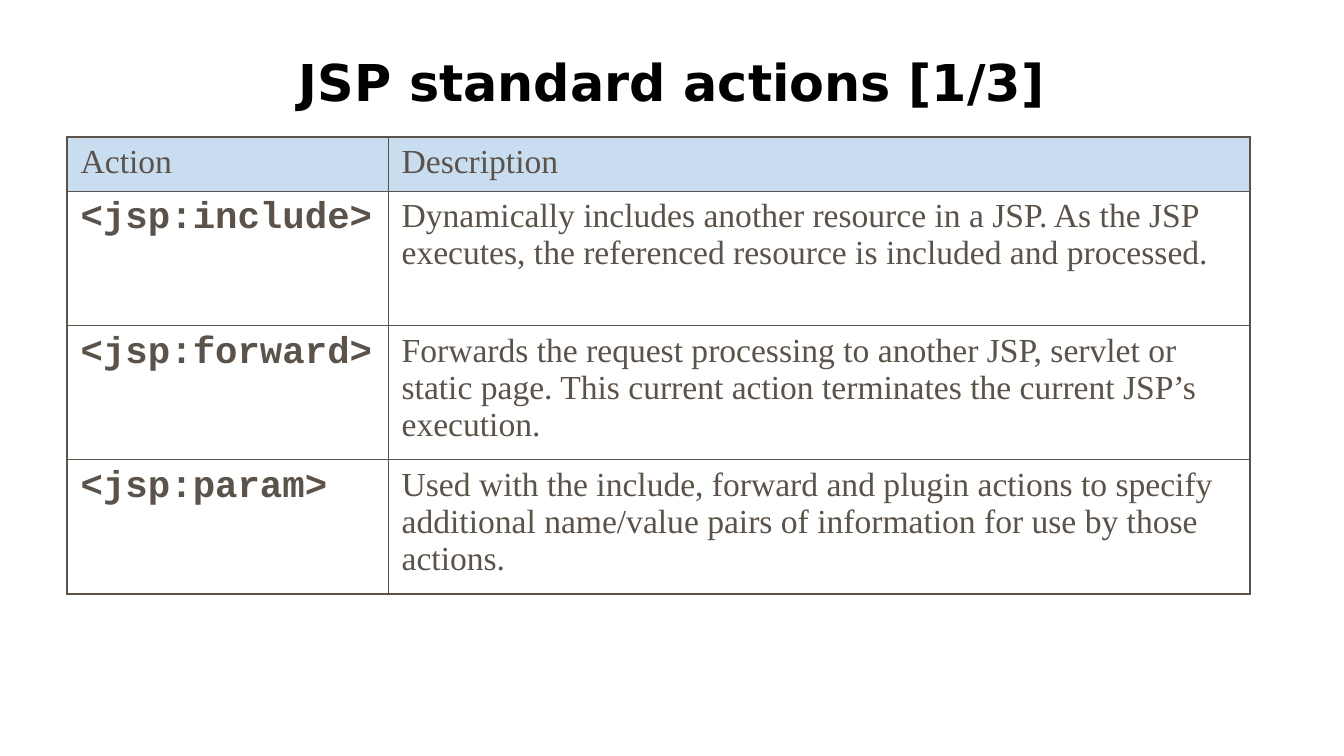
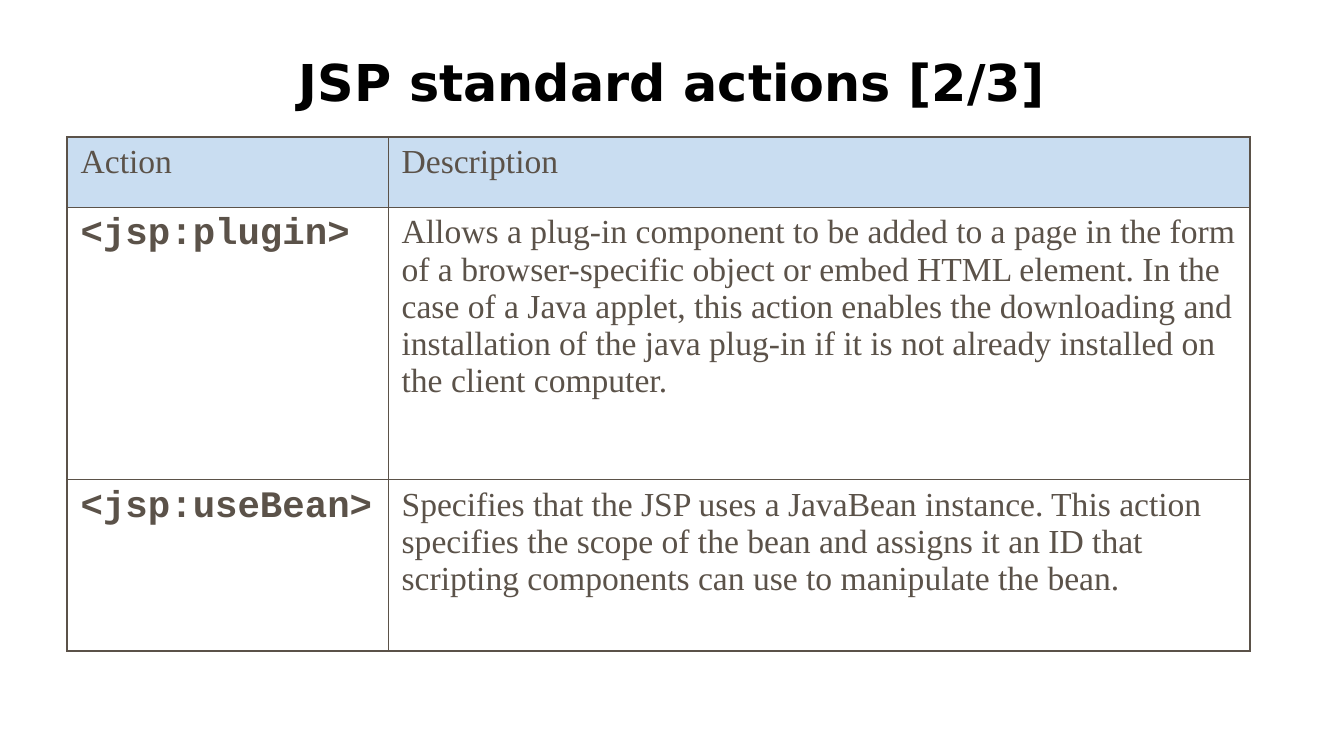
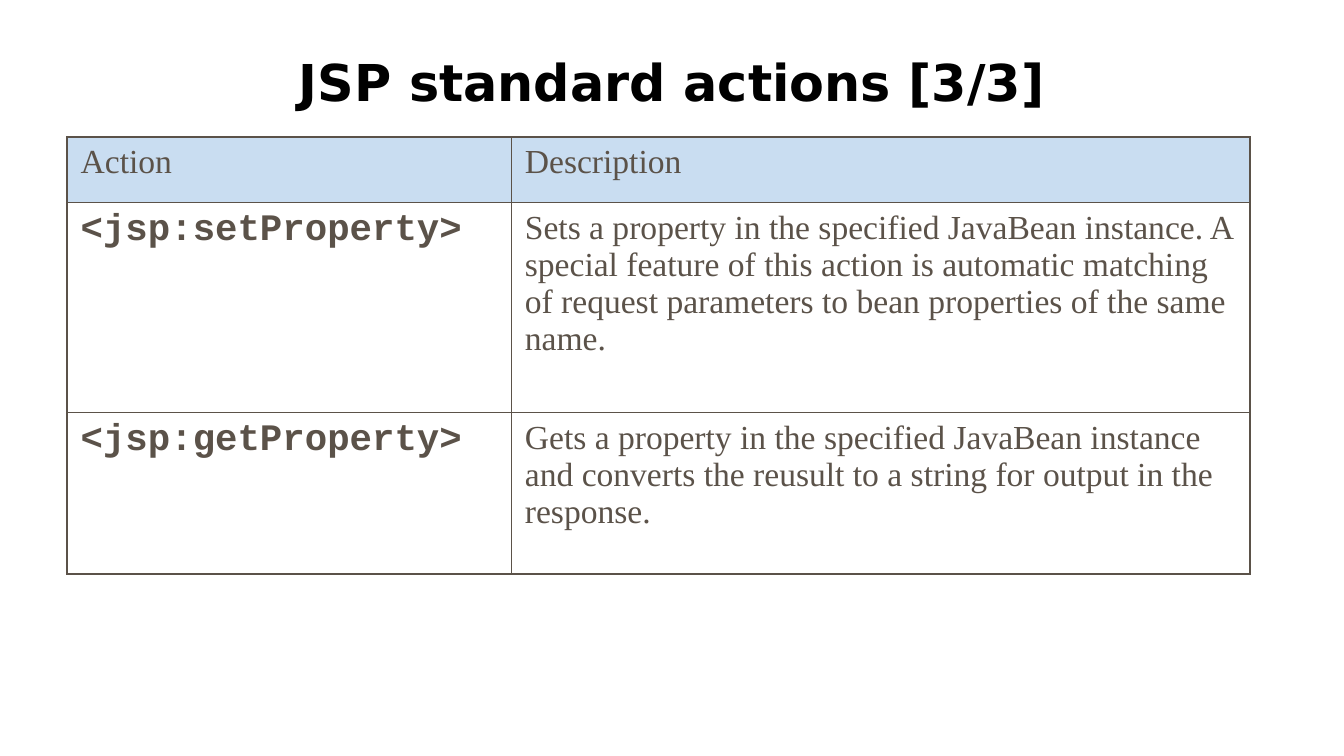
"""Builds three slides with tables of the JSP standard actions."""
from dataclasses import dataclass

from lxml.etree import SubElement as Sub
from pptx import Presentation
from pptx.dml.color import RGBColor
from pptx.enum.text import MSO_ANCHOR as Anchor, PP_ALIGN as Align
from pptx.oxml.ns import qn
from pptx.slide import Slide
from pptx.table import _Cell as Cell
from pptx.text.text import TextFrame as Frame
from pptx.util import Pt

BROWN = "5B5249"
BLUE = "C9DDF1"
BLACK = "000000"
LEFT, TOP, WIDTH = 36, 73.5, 633.6
THICK, THIN = 1.08, 0.45


@dataclass(frozen=True)
class Style:
    """Look of a piece of text."""
    font: str
    size: float
    tint: str = BROWN
    bold: bool = False


@dataclass(frozen=True)
class Action:
    """One table row: a tag, its description and the row height."""
    tag: str
    text: str
    height: float


@dataclass(frozen=True)
class Page:
    """One slide: width of the tag column, header height and actions."""
    split: float
    head: float
    acts: list[Action]


TITLE = Style("DejaVu Sans", 27.2, BLACK, True)
PLAIN = Style("Times New Roman", 18)
CODE = Style("Courier New", 20, bold=True)

PAGES = [
    Page(172, 28, [
        Action("<jsp:include>", "Dynamically includes another resource in a JSP. As the JSP "
               "executes, the referenced resource is included and processed.", 72),
        Action("<jsp:forward>", "Forwards the request processing to another JSP, servlet or "
               "static page. This current action terminates the current JSP’s execution.", 72),
        Action("<jsp:param>", "Used with the include, forward and plugin actions to specify "
               "additional name/value pairs of information for use by those actions.", 72),
    ]),
    Page(172, 37.5, [
        Action("<jsp:plugin>", "Allows a plug-in component to be added to a page in the form "
               "of a browser-specific object or embed HTML element. In the case of a Java "
               "applet, this action enables the downloading and installation of the java "
               "plug-in if it is not already installed on the client computer.", 146),
        Action("<jsp:useBean>", "Specifies that the JSP uses a JavaBean instance. This action "
               "specifies the scope of the bean and assigns it an ID that scripting "
               "components can use to manipulate the bean.", 92),
    ]),
    Page(238, 35, [
        Action("<jsp:setProperty>", "Sets a property in the specified JavaBean instance. A "
               "special feature of this action is automatic matching of request parameters "
               "to bean properties of the same name.", 112.5),
        Action("<jsp:getProperty>", "Gets a property in the specified JavaBean instance and "
               "converts the reusult to a string for output in the response.", 86.5),
    ]),
]


def color(code: str) -> RGBColor:
    """Turn a hex string into a colour."""
    return RGBColor.from_string(code)


def write(frame: Frame, text: str, style: Style) -> None:
    """Fill a text frame and format its run."""
    frame.text = text
    font = frame.paragraphs[0].runs[0].font
    font.name, font.size, font.bold = style.font, Pt(style.size), style.bold
    font.color.rgb = color(style.tint)


def edge(cell: Cell, side: str, outer: bool) -> None:
    """Draw one border of a cell, thicker on the outside of the table."""
    width = Pt(THICK if outer else THIN)
    line = Sub(cell._tc.get_or_add_tcPr(), qn(f"a:ln{side}"), w=str(width))
    Sub(Sub(line, qn("a:solidFill")), qn("a:srgbClr"), val=BROWN)


def add_title(slide: Slide, text: str) -> None:
    """Add the centred slide title."""
    frame = slide.shapes.add_textbox(Pt(LEFT), Pt(16), Pt(648), Pt(47.5)).text_frame
    frame.word_wrap = True
    frame.vertical_anchor = Anchor.BOTTOM
    write(frame, text, TITLE)
    frame.paragraphs[0].alignment = Align.CENTER


def add_grid(slide: Slide, page: Page) -> None:
    """Add the table of actions."""
    rows = [Action("Action", "Description", page.head), *page.acts]
    last = len(rows) - 1
    total = sum(row.height for row in rows)
    table = slide.shapes.add_table(
        len(rows), 2, Pt(LEFT), Pt(TOP), Pt(WIDTH), Pt(total)).table
    table.first_row = table.horz_banding = False
    for col, width in zip(table.columns, (page.split, WIDTH - page.split)):
        col.width = Pt(width)
    for r, row in enumerate(rows):
        table.rows[r].height = Pt(row.height)
        for c, text in enumerate((row.tag, row.text)):
            cell = table.cell(r, c)
            write(cell.text_frame, text, CODE if r and not c else PLAIN)
            sides = {"L": c == 0, "R": c == 1, "T": r == 0, "B": r == last}
            for side, outer in sides.items():
                edge(cell, side, outer)
            if r:
                cell.fill.background()
            else:
                cell.fill.solid()
                cell.fill.fore_color.rgb = color(BLUE)


def main() -> None:
    """Build and save the deck."""
    deck = Presentation()
    deck.slide_width, deck.slide_height = Pt(720), Pt(405)
    for num, page in enumerate(PAGES, 1):
        slide = deck.slides.add_slide(deck.slide_layouts[6])
        add_title(slide, f"JSP standard actions [{num}/{len(PAGES)}]")
        add_grid(slide, page)
    deck.save("out.pptx")


if __name__ == "__main__":
    main()
